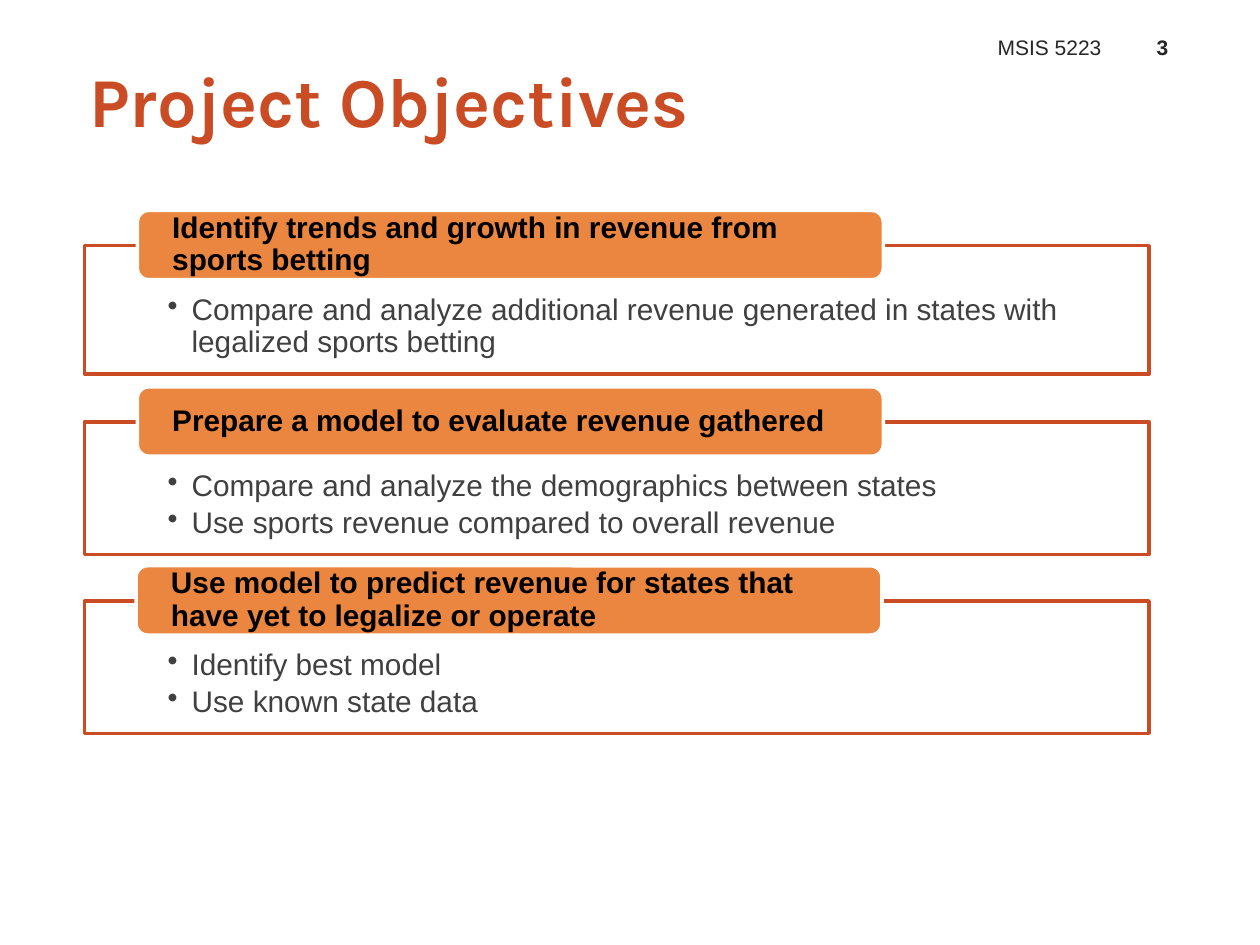
"""Build the Project Objectives slide with three titled objective boxes."""
from dataclasses import dataclass

from lxml.etree import SubElement
from pptx import Presentation
from pptx.dml.color import RGBColor
from pptx.enum.shapes import MSO_SHAPE as Preset
from pptx.enum.text import MSO_ANCHOR as Anchor, PP_ALIGN as Align
from pptx.oxml.ns import qn
from pptx.util import Inches, Pt

COLORS = {
    "rust": "C94C25", "orange": "EA8640", "white": "FFFFFF",
    "ink": "262626", "body": "404040", "black": "000000",
}


@dataclass
class Box:
    left: float
    top: float
    width: float
    height: float

    def lengths(self) -> list:
        """Return position and size as lengths."""
        return [Inches(v) for v in (self.left, self.top, self.width, self.height)]


@dataclass
class TextStyle:
    size: float
    color: str
    bold: bool = False
    font: str = "Arial"
    align: Align = Align.LEFT
    anchor: Anchor = Anchor.MIDDLE
    insets: tuple = (0.1, 0.05, 0.1, 0.05)
    line_spacing: float = 1.0
    space_after: float = 0
    indent: float = 0
    bullet: str = ""


@dataclass
class Objective:
    heading: str
    points: list
    frame: Box
    tab_left: float = 1.09


TITLE = TextStyle(40, "rust", True, "Karla", insets=(0, 0.05, 0, 0.05), indent=0.2)
COURSE = TextStyle(12, "ink", align=Align.RIGHT, anchor=Anchor.BOTTOM)
NUMBER = TextStyle(12, "ink", True, align=Align.CENTER, anchor=Anchor.BOTTOM)
HEADING = TextStyle(17, "black", True, insets=(0.25, 0.03, 0.25, 0.03), line_spacing=0.9)
POINTS = TextStyle(17, "body", anchor=Anchor.TOP, insets=(0.66, 0.39, 0.66, 0.13),
                   line_spacing=0.9, space_after=2.55, indent=0.19, bullet="•")

OBJECTIVES = [
    Objective("Identify trends and growth in revenue from sports betting",
              ["Compare and analyze additional revenue generated in states with "
               "legalized sports betting"],
              Box(0.67, 1.95, 8.45, 1.02)),
    Objective("Prepare a model to evaluate revenue gathered",
              ["Compare and analyze the demographics between states",
               "Use sports revenue compared to overall revenue"],
              Box(0.67, 3.35, 8.45, 1.05)),
    Objective("Use model to predict revenue for states that have yet to legalize or operate",
              ["Identify best model", "Use known state data"],
              Box(0.67, 4.77, 8.45, 1.05), 1.08),
]


def set_all(target, values: dict) -> None:
    """Set every named attribute on the target."""
    for name, value in values.items():
        setattr(target, name, value)


def rgb(name: str) -> RGBColor:
    """Look up a named colour."""
    return RGBColor.from_string(COLORS[name])


def write_text(shape, lines: list, style: TextStyle) -> None:
    """Fill a shape with one styled paragraph per line."""
    frame = shape.text_frame
    left, top, right, bottom = (Inches(v) for v in style.insets)
    set_all(frame, {
        "word_wrap": True, "vertical_anchor": style.anchor, "margin_left": left,
        "margin_top": top, "margin_right": right, "margin_bottom": bottom,
    })
    for index, line in enumerate(lines):
        paragraph = frame.add_paragraph() if index else frame.paragraphs[0]
        set_all(paragraph, {
            "alignment": style.align, "line_spacing": style.line_spacing,
            "space_after": Pt(style.space_after),
        })
        properties = paragraph._p.get_or_add_pPr()
        properties.set("marL", str(Inches(style.indent)))
        if style.bullet:
            properties.set("indent", str(-Inches(style.indent)))
            SubElement(properties, qn("a:buChar"), char=style.bullet)
        run = paragraph.add_run()
        run.text = line
        set_all(run.font, {"name": style.font, "size": Pt(style.size), "bold": style.bold})
        run.font.color.rgb = rgb(style.color)


def add_label(slide, box: Box, text: str, style: TextStyle) -> None:
    """Add a single-paragraph text box."""
    write_text(slide.shapes.add_textbox(*box.lengths()), [text], style)


def add_panel(slide, preset: Preset, box: Box, fill: str, line: str,
              lines: list, style: TextStyle) -> None:
    """Add a filled, outlined shape holding text."""
    shape = slide.shapes.add_shape(preset, *box.lengths())
    shape.shadow.inherit = False
    shape.fill.solid()
    shape.fill.fore_color.rgb = rgb(fill)
    shape.line.color.rgb = rgb(line)
    shape.line.width = Pt(2)
    write_text(shape, lines, style)


def add_objective(slide, objective: Objective) -> None:
    """Add a framed list with its heading tab across the top edge."""
    frame = objective.frame
    tab = Box(objective.tab_left, frame.top - 0.28, 5.92, 0.55)
    add_panel(slide, Preset.RECTANGLE, frame, "white", "rust", objective.points, POINTS)
    add_panel(slide, Preset.ROUNDED_RECTANGLE, tab, "orange", "white",
              [objective.heading], HEADING)


def main() -> None:
    """Build and save the presentation."""
    presentation = Presentation()
    set_all(presentation, {"slide_width": Inches(10), "slide_height": Inches(7.5)})
    slide = presentation.slides.add_slide(presentation.slide_layouts[6])
    add_label(slide, Box(0.51, 0.42, 5.07, 0.74), "Project Objectives", TITLE)
    add_label(slide, Box(6.42, 0.19, 2.42, 0.33), "MSIS 5223", COURSE)
    add_label(slide, Box(8.95, 0.19, 0.55, 0.33), "3", NUMBER)
    for objective in OBJECTIVES:
        add_objective(slide, objective)
    presentation.save("out.pptx")


if __name__ == "__main__":
    main()
